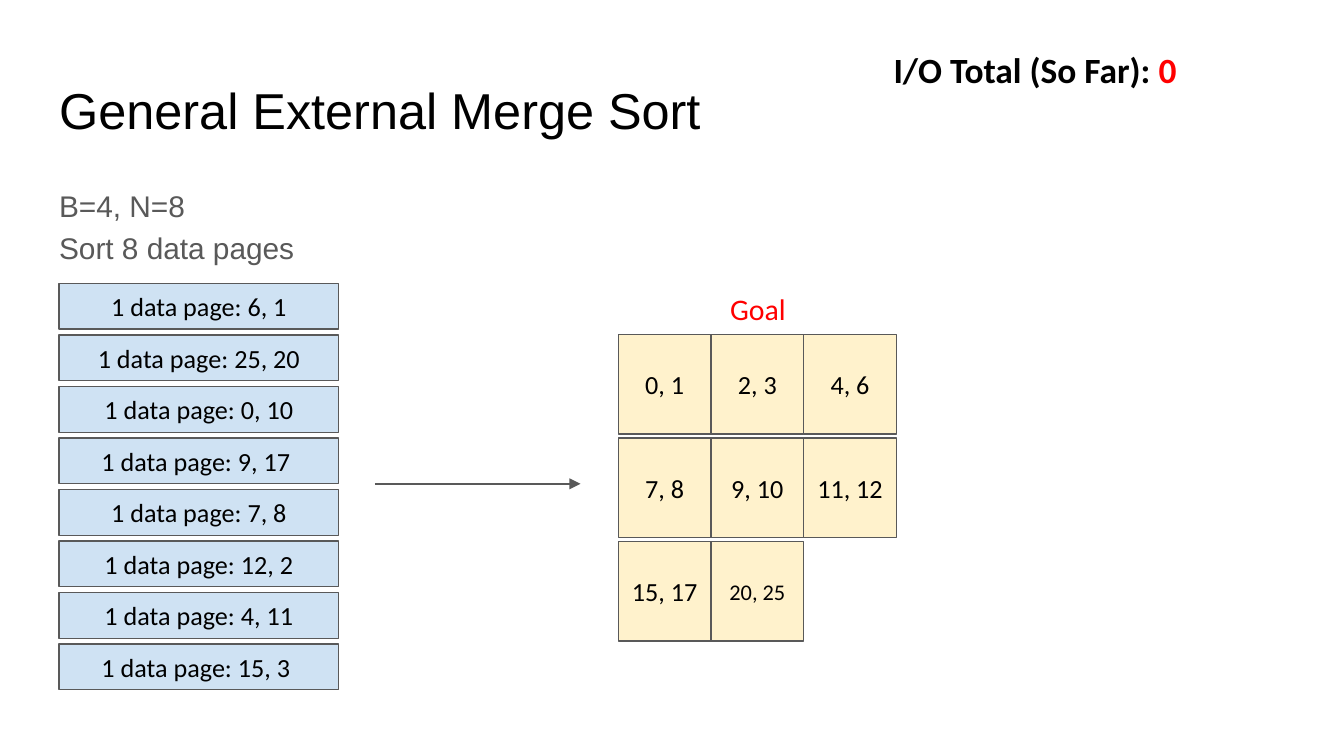
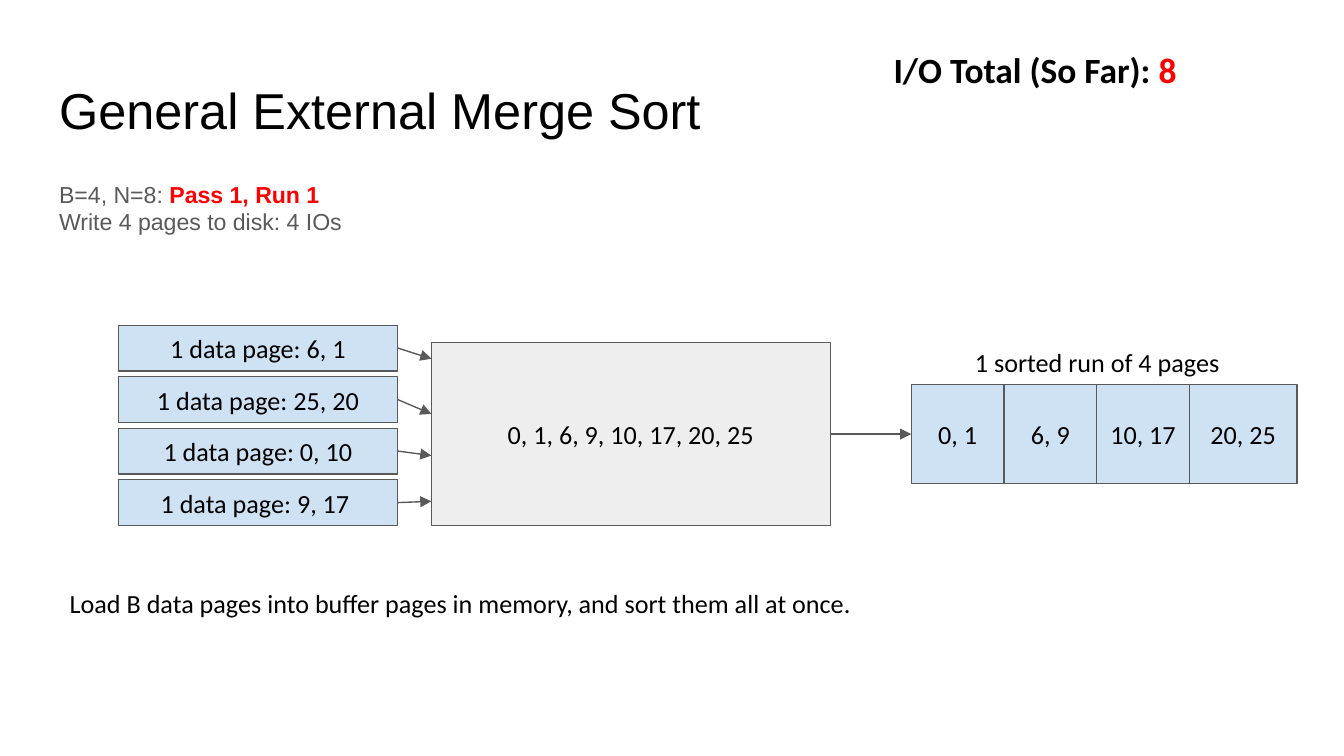
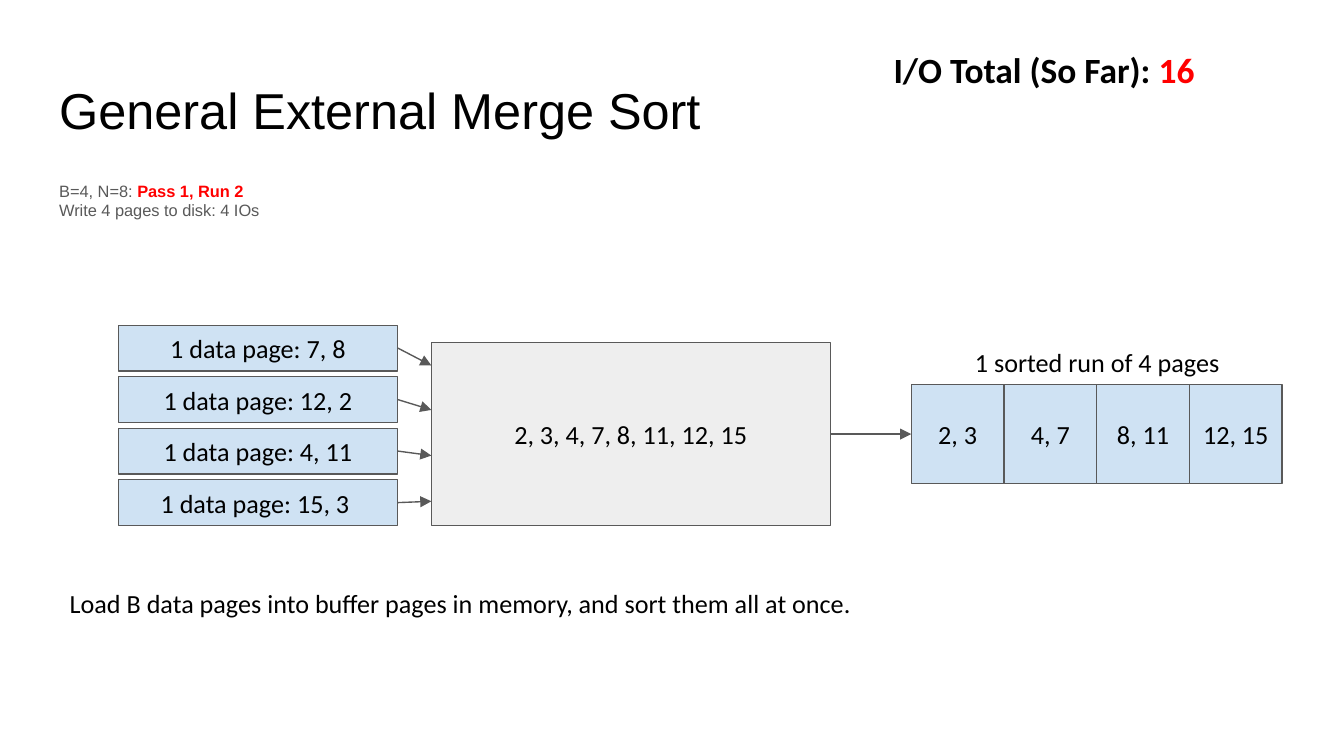
import pptx
import pptx.dml.color
import pptx.enum.shapes
import pptx.enum.text
import pptx.oxml
import pptx.oxml.ns
import pptx.util
from pptx.util import Inches, Pt

RGBColor = pptx.dml.color.RGBColor
ALIGN = pptx.enum.text.PP_ALIGN
ANCHOR = pptx.enum.text.MSO_ANCHOR

BLACK = RGBColor(0x00, 0x00, 0x00)
GRAY = RGBColor(0x59, 0x59, 0x59)
RED = RGBColor(0xFF, 0x00, 0x00)
PAGE_BLUE = RGBColor(0xCF, 0xE2, 0xF3)
GOAL_YELLOW = RGBColor(0xFF, 0xF2, 0xCC)
MEMORY_GRAY = RGBColor(0xEE, 0xEE, 0xEE)

PAGE_WIDTH, PAGE_HEIGHT = 2.08, 0.34
PAGE_PITCH = 1.15 / 3
CELL_WIDTH, CELL_HEIGHT = 0.69, 0.74
GOAL_PITCH = 0.77
LEFT_SIDE, RIGHT_SIDE = 1, 3


def write(shape, paragraphs, size, font="Calibri", align=ALIGN.LEFT,
          anchor=ANCHOR.TOP, spacing=1.0):
    """Fill a shape with paragraphs, each a list of (text, colour, bold) runs."""
    frame = shape.text_frame
    frame_format = {"word_wrap": True, "auto_size": pptx.enum.text.MSO_AUTO_SIZE.NONE,
                    "vertical_anchor": anchor}
    for side in ("left", "top", "right", "bottom"):
        frame_format["margin_" + side] = Inches(0.1)
    for name, value in frame_format.items():
        setattr(frame, name, value)
    for index, runs in enumerate(paragraphs):
        paragraph = frame.add_paragraph() if index else frame.paragraphs[0]
        paragraph_format = {"alignment": align, "line_spacing": spacing,
                            "space_before": Pt(0), "space_after": Pt(0)}
        for name, value in paragraph_format.items():
            setattr(paragraph, name, value)
        for text, color, bold in runs:
            run = paragraph.add_run()
            run.text = text
            for name, value in {"size": Pt(size), "name": font, "bold": bold}.items():
                setattr(run.font, name, value)
            run.font.color.rgb = color


def place(shape, left, top, width, height):
    box = {"left": left, "top": top, "width": width, "height": height}
    for name, value in box.items():
        setattr(shape, name, Inches(value))


def remove_bullets(shape):
    for paragraph in shape.text_frame.paragraphs:
        properties = paragraph._p.get_or_add_pPr()
        properties.set("marL", "0")
        properties.set("indent", "0")
        properties.append(pptx.oxml.parse_xml(
            "<a:buNone %s/>" % pptx.oxml.ns.nsdecls("a")))


def add_label(slide, box, runs, size=14, **text_format):
    label = slide.shapes.add_textbox(*map(Inches, box))
    write(label, [runs], size, **text_format)


def add_box(slide, box, text, fill, size=14):
    shape = slide.shapes.add_shape(
        pptx.enum.shapes.MSO_SHAPE.RECTANGLE, *map(Inches, box))
    shape.shadow.inherit = False
    shape.fill.solid()
    shape.fill.fore_color.rgb = fill
    shape.line.color.rgb = GRAY
    shape.line.width = Pt(0.75)
    write(shape, [[(text, BLACK, False)]], size, align=ALIGN.CENTER, anchor=ANCHOR.MIDDLE)
    return shape


def add_arrow(slide, start, end):
    arrow = slide.shapes.add_connector(
        pptx.enum.shapes.MSO_CONNECTOR.STRAIGHT, *map(Inches, start + end))
    arrow.line.color.rgb = GRAY
    arrow.line.width = Pt(0.75)
    namespace = pptx.oxml.ns.nsdecls("a")
    arrow.line._get_or_add_ln().append(
        pptx.oxml.parse_xml('<a:tailEnd %s type="triangle"/>' % namespace))
    arrow._element.spPr.append(pptx.oxml.parse_xml("<a:effectLst %s/>" % namespace))
    return arrow


def add_data_pages(slide, left, top, pages):
    return [add_box(slide, (left, top + row * PAGE_PITCH, PAGE_WIDTH, PAGE_HEIGHT),
                    "1 data page: " + page, PAGE_BLUE)
            for row, page in enumerate(pages)]


def add_sort_slide(presentation, body, body_size, body_spacing, io_total):
    """Add a slide with the shared title, the body lines and the I/O counter."""
    slide = presentation.slides.add_slide(presentation.slide_layouts[1])
    title, body_text = slide.shapes.title, slide.placeholders[1]
    place(title, 0.34, 0.49, 9.32, 0.63)
    write(title, [[("General External Merge Sort", BLACK, False)]], 27, font="Arial")
    place(body_text, 0.34, 1.26, 9.21, 0.81)
    write(body_text, body, body_size, font="Arial", spacing=body_spacing)
    remove_bullets(body_text)
    add_label(slide, (6.55, 0.26, 3.08, 0.58),
              [("I/O Total (So Far): ", BLACK, True), (io_total, RED, True)], size=19)
    return slide


def add_goal_slide(presentation, pages, goal_rows):
    body = [[("B=4, N=8", GRAY, False)], [("Sort 8 data pages", GRAY, False)]]
    slide = add_sort_slide(presentation, body, 16, 1.15, "0")
    add_data_pages(slide, 0.44, 2.11, pages)
    add_arrow(slide, (2.79, 3.6), (4.32, 3.6))
    for row, cells in enumerate(goal_rows):
        for column, text in enumerate(cells):
            box = (4.6 + column * CELL_WIDTH, 2.49 + row * GOAL_PITCH,
                   CELL_WIDTH, CELL_HEIGHT)
            add_box(slide, box, text, GOAL_YELLOW, 12 if text == "20, 25" else 14)
    add_label(slide, (4.6, 2.02, 2.08, 0.44), [("Goal", RED, False)], size=16,
              align=ALIGN.CENTER, spacing=1.15)


def add_run_slide(presentation, run_name, body_size, io_total, pages, memory_text,
                  sorted_run, arrow_ends, last_width=CELL_WIDTH):
    """Show data pages sorted in memory and written out as one sorted run."""
    body = [[("B=4, N=8: ", GRAY, False), (run_name, RED, True)],
            [("Write 4 pages to disk: 4 IOs", GRAY, False)]]
    slide = add_sort_slide(presentation, body, body_size, 0.95, io_total)
    page_boxes = add_data_pages(slide, 0.88, 2.42, pages)
    memory = add_box(slide, (3.21, 2.55, 2.97, 1.36), memory_text, MEMORY_GRAY)
    for page_box, end_y in zip(page_boxes, arrow_ends):
        arrow = add_arrow(slide, (2.96, end_y), (3.21, end_y))
        arrow.begin_connect(page_box, RIGHT_SIDE)

    widths = [CELL_WIDTH] * (len(sorted_run) - 1) + [last_width]
    run_boxes = [add_box(slide, (6.78 + column * CELL_WIDTH, 2.86, width, CELL_HEIGHT),
                         text, PAGE_BLUE)
                 for column, (text, width) in enumerate(zip(sorted_run, widths))]
    output = add_arrow(slide, (6.18, 3.23), (6.78, 3.23))
    output.begin_connect(memory, RIGHT_SIDE)
    output.end_connect(run_boxes[0], LEFT_SIDE)
    add_label(slide, (6.78, 2.48, 2.77, 0.34),
              [("1 sorted run of 4 pages", BLACK, False)], align=ALIGN.CENTER)
    add_label(slide, (0.42, 4.27, 7.82, 1.07),
              [("Load B data pages into buffer pages in memory, "
                "and sort them all at once.", BLACK, False)])


def main():
    presentation = pptx.Presentation()
    presentation.slide_width = Inches(10)
    presentation.slide_height = Inches(10 * 9 / 16)
    pages = ["6, 1", "25, 20", "0, 10", "9, 17 ", "7, 8", "12, 2", "4, 11", "15, 3 "]
    add_goal_slide(presentation, pages, [["0, 1", "2, 3", "4, 6"],
                                         ["7, 8", "9, 10", "11, 12"],
                                         ["15, 17", "20, 25"]])
    add_run_slide(presentation, "Pass 1, Run 1", 12.4, "8", pages[:4],
                  "0, 1, 6, 9, 10, 17, 20, 25", ["0, 1", "6, 9", "10, 17", "20, 25"],
                  arrow_ends=[2.67, 3.08, 3.39, 3.73], last_width=0.8)
    add_run_slide(presentation, "Pass 1, Run 2", 8.8, "16", pages[4:],
                  "2, 3, 4, 7, 8, 11, 12, 15", ["2, 3", "4, 7", "8, 11", "12, 15"],
                  arrow_ends=[2.72, 3.05, 3.39, 3.73])
    presentation.save("out.pptx")


if __name__ == "__main__":
    main()
